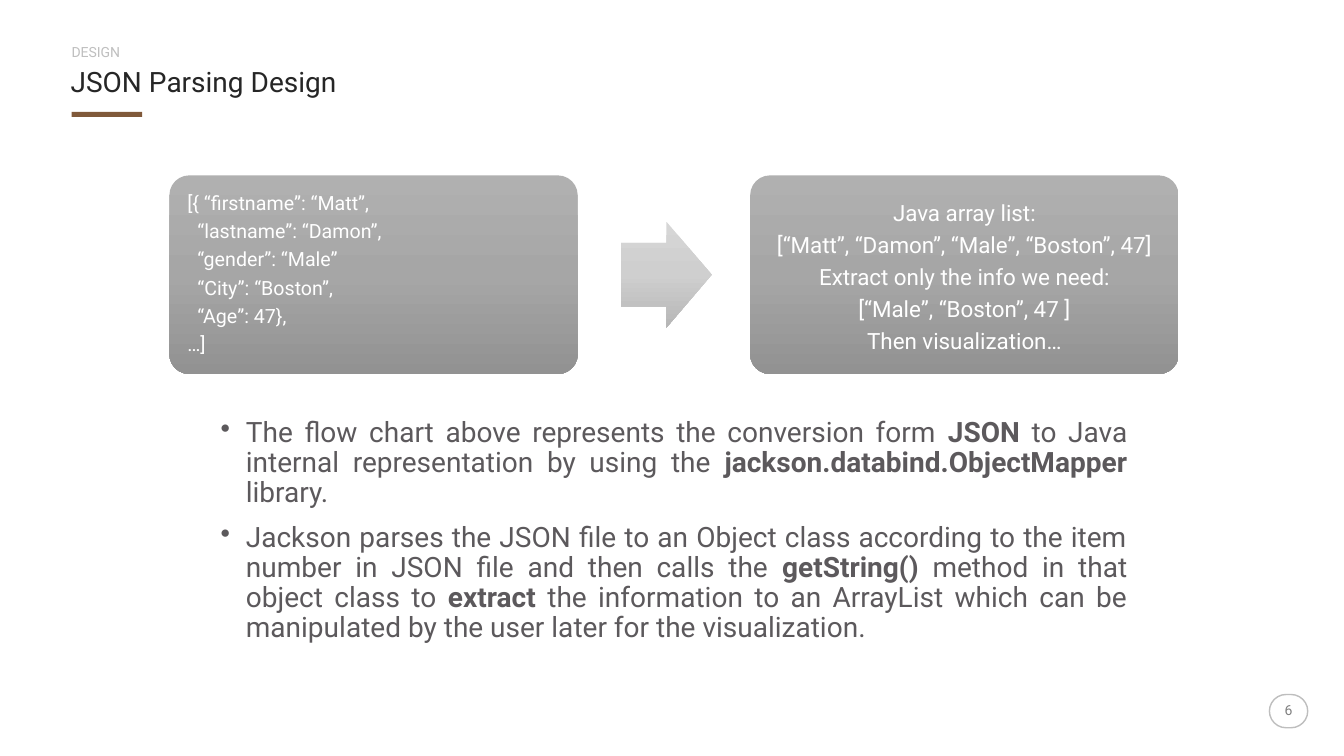
from copy import deepcopy

from pptx import Presentation
from pptx.dml.color import RGBColor
from pptx.enum.shapes import MSO_SHAPE
from pptx.enum.text import MSO_ANCHOR, MSO_AUTO_SIZE, PP_ALIGN
from pptx.oxml.ns import qn
from pptx.util import Pt

SCALE = 9144  # EMU in one px, 100 px to the inch
COLOURS = {
    "title": "262626", "eyebrow": "BFBFBF", "accent": "80593A",
    "body": "5C595C", "badge": "BEBEBE", "number": "7F7F7F", "white": "FFFFFF",
}
BOX_SHADES = ("B0B0B0", "A6A6A6", "929292")
ARROW_SHADES = ("D6D6D6", "CFCFCF", "B6B6B6")

JSON_LINES = ["[{ “firstname”: “Matt”,", "“lastname”: “Damon”,", "“gender”: “Male”",
              "“City”: “Boston”,", "“Age”: 47},", "…]"]
JAVA_LINES = ["Java array list:", "[“Matt”, “Damon”, “Male”, “Boston”, 47]",
              "Extract only the info we need:", "[“Male”, “Boston”, 47 ]",
              "Then visualization…"]
BULLETS = [
    "The flow chart above represents the conversion form **JSON** to Java internal "
    "representation by using the **jackson.databind.ObjectMapper **library.",
    "Jackson parses the JSON file to an Object class according to the item number in "
    "JSON file and then calls the **getString() **method in that object class to "
    "**extract **the information to an ArrayList which can be manipulated by the user "
    "later for the visualization.",
]


class SlideBuilder:
    def __init__(self, width, height, font="Roboto"):
        self.font = font
        self.deck = Presentation()
        self.deck.slide_width, self.deck.slide_height = width * SCALE, height * SCALE
        self.page = self.deck.slides.add_slide(self.deck.slide_layouts[5])

    def set_text(self, box, lines, size, colour, align=PP_ALIGN.LEFT, anchor=MSO_ANCHOR.TOP,
                 insets=(0, 0, 0, 0), gap=0, indents=None, bullet=None):
        """Fill a shape with paragraphs; **marks** enclose bold text."""
        frame = box.text_frame
        left, top, right, bottom = (inset * SCALE for inset in insets)
        frame_format = {
            "word_wrap": True, "auto_size": MSO_AUTO_SIZE.NONE, "vertical_anchor": anchor,
            "margin_left": left, "margin_top": top,
            "margin_right": right, "margin_bottom": bottom,
        }
        for name, value in frame_format.items():
            setattr(frame, name, value)
        for index, line in enumerate(lines):
            para = frame.add_paragraph() if index else frame.paragraphs[0]
            para_format = {"alignment": align, "line_spacing": 0.9,
                           "space_before": Pt(gap if index else 0)}
            for name, value in para_format.items():
                setattr(para, name, value)
            if indents:
                self.indent(para, indents[index], bullet)
            for part, text in enumerate(line.split("**")):
                span = para.add_run()
                span.text = text
                span_format = {"name": self.font, "size": Pt(size), "bold": part % 2 == 1}
                for name, value in span_format.items():
                    setattr(span.font, name, value)
                span.font.color.rgb = RGBColor.from_string(COLOURS[colour])

    def indent(self, para, left, bullet):
        properties = para._p.get_or_add_pPr()
        properties.set("marL", str(left * SCALE))
        properties.set("indent", str(-left * SCALE if bullet else 0))
        if bullet:
            mark = properties.makeelement(qn("a:buChar"), {"char": bullet})
            properties.append(mark)

    def title(self, at, text, **style):
        box = self.page.shapes.title
        for name, value in zip(("left", "top", "width", "height"), at):
            setattr(box, name, value * SCALE)
        self.set_text(box, [text], **style)

    def text(self, at, lines, **style):
        box = self.page.shapes.add_textbox(*(length * SCALE for length in at))
        self.set_text(box, lines, **style)

    def shape(self, kind, at, adjustments=(), fill=None, line=None):
        """Add a shape; a tuple of fill colours makes a downward gradient."""
        shape = self.page.shapes.add_shape(kind, *(length * SCALE for length in at))
        shape.shadow.inherit = False
        for index, value in enumerate(adjustments):
            shape.adjustments[index] = value
        if isinstance(fill, tuple):
            self.shade(shape, fill)
        elif fill:
            shape.fill.solid()
            shape.fill.fore_color.rgb = RGBColor.from_string(COLOURS[fill])
        else:
            shape.fill.background()
        if line:
            shape.line.color.rgb = RGBColor.from_string(COLOURS[line])
            shape.line.width = Pt(1)
        else:
            shape.line.fill.background()
        return shape

    def shade(self, shape, shades):
        shape.fill.gradient()
        shape.fill.gradient_angle = 270
        stop_list = shape._element.spPr.find(".//" + qn("a:gsLst"))
        while len(stop_list) < len(shades):
            stop_list.insert(1, deepcopy(stop_list[0]))
        for index, (stop, shade) in enumerate(zip(shape.fill.gradient_stops, shades)):
            stop.position = index / (len(shades) - 1)
            stop.color.rgb = RGBColor.from_string(shade)

    def card(self, at, lines, **style):
        box = self.shape(MSO_SHAPE.ROUNDED_RECTANGLE, at, (0.1,), BOX_SHADES)
        self.set_text(box, lines, colour="white", anchor=MSO_ANCHOR.MIDDLE, **style)


def main():
    slide = SlideBuilder(1333, 750)
    slide.title((70, 68, 1193, 33), "JSON Parsing Design", size=20, colour="title")
    slide.text((71, 45, 1193, 17), ["DESIGN"], size=10, colour="eyebrow")
    slide.shape(MSO_SHAPE.RECTANGLE, (71, 111, 70, 5), fill="accent")

    slide.card((168, 174, 405, 197), JSON_LINES, size=14, gap=4.9,
               insets=(12, 12, 12, 12), indents=[0, 10, 10, 10, 10, 0])
    slide.shape(MSO_SHAPE.RIGHT_ARROW, (616, 220, 90, 105), (0.6, 0.5), ARROW_SHADES)
    slide.card((744, 174, 425, 197), JAVA_LINES, size=16, gap=5.6,
               insets=(13, 20, 13, 13), align=PP_ALIGN.CENTER)

    slide.text((209, 410, 919, 231), BULLETS, size=20, colour="body",
               align=PP_ALIGN.JUSTIFY, insets=(10, 5, 10, 5), gap=10,
               indents=[25, 25], bullet="•")

    badge = slide.shape(MSO_SHAPE.ROUNDED_RECTANGLE, (1259, 689, 38, 33), (0.5,), line="badge")
    slide.set_text(badge, ["6"], size=10, colour="number",
                   align=PP_ALIGN.CENTER, anchor=MSO_ANCHOR.MIDDLE)
    slide.deck.save("out.pptx")


if __name__ == "__main__":
    main()
